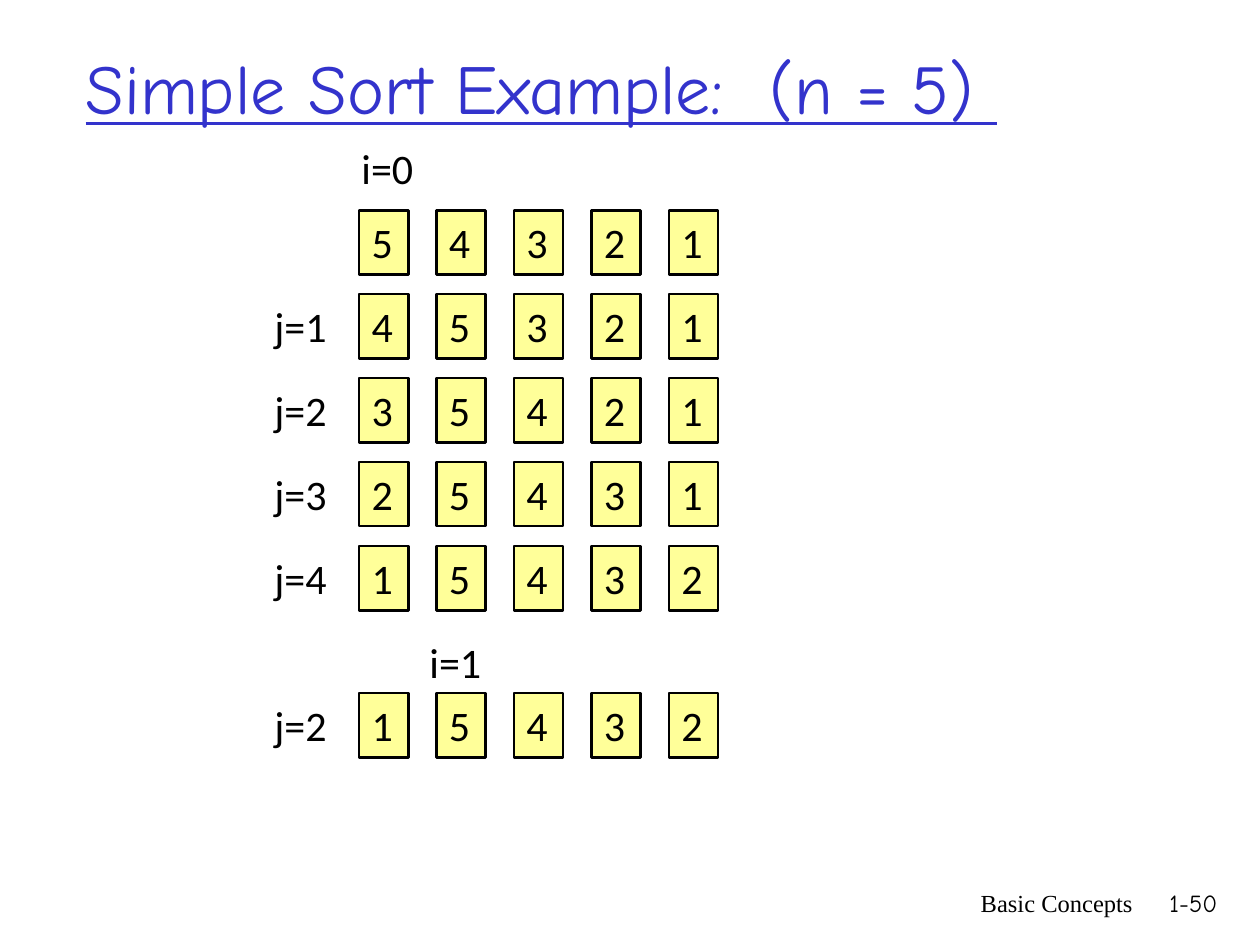
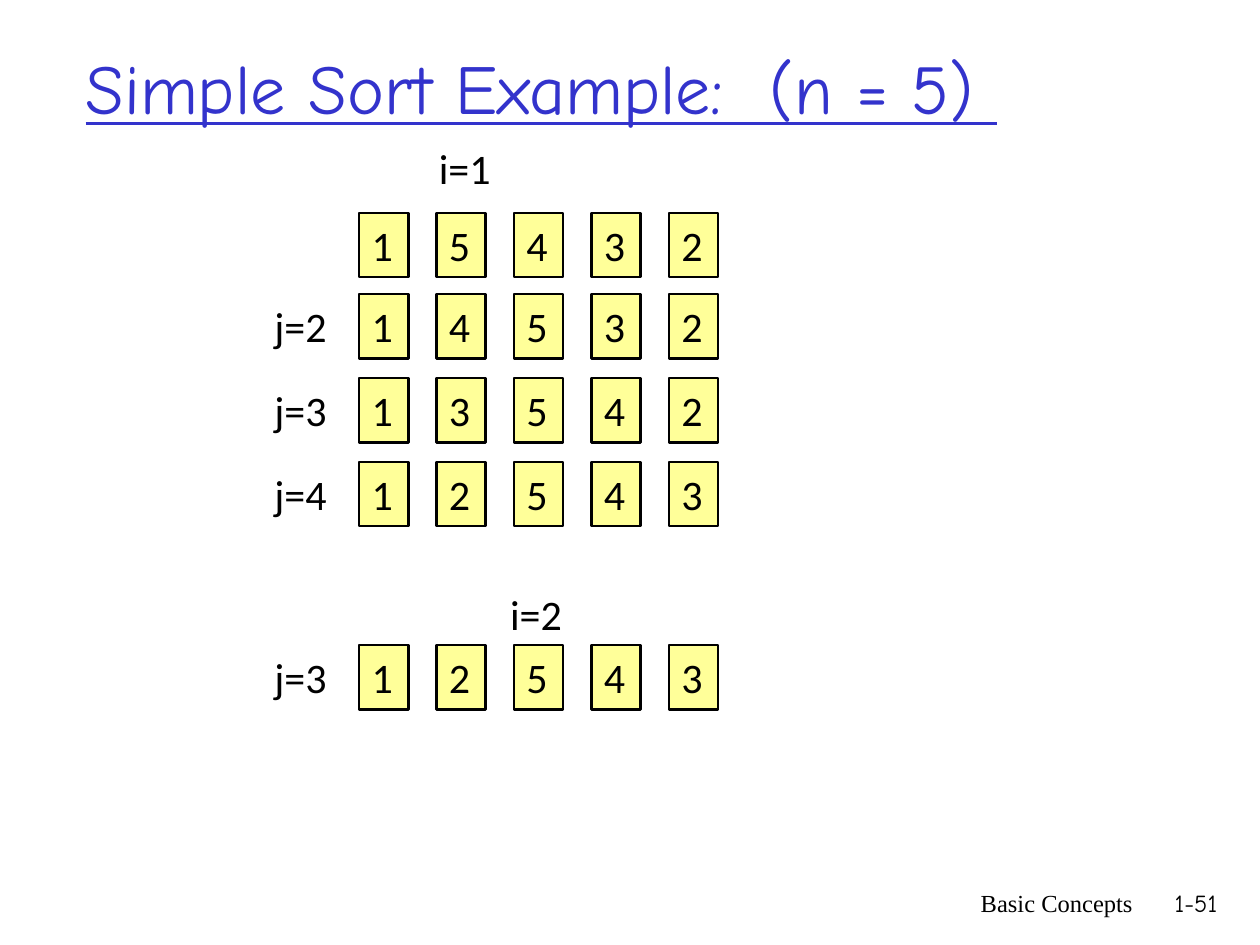
import pptx
import pptx.dml.color
import pptx.enum.shapes
import pptx.enum.text
import pptx.util

Inches = pptx.util.Inches
Pt = pptx.util.Pt
RGBColor = pptx.dml.color.RGBColor
Align = pptx.enum.text.PP_ALIGN
Anchor = pptx.enum.text.MSO_ANCHOR
AutoSize = pptx.enum.text.MSO_AUTO_SIZE

BLACK = RGBColor(0x00, 0x00, 0x00)
WHITE = RGBColor(0xFF, 0xFF, 0xFF)
TITLE_BLUE = RGBColor(0x33, 0x33, 0xCC)
CELL_YELLOW = RGBColor(0xFF, 0xFF, 0x99)

BODY_FONT = "Calibri"
TITLE_FONT = "Comic Neue"
FOOTER_FONT = "Times New Roman"

TITLE = "Simple Sort Example:  (n = 5) "
TITLE_BOX = (0.58, 0.25, 8.5, 0.88)
FOOTER_TOP, FOOTER_HEIGHT = 7, 0.5

CELL_LEFT = 2.85
CELL_WIDTH, CELL_HEIGHT = 0.39, 0.51
CELL_PITCH = 2.46 / 4
STEP_TOP = 7 / 3
ROW_PITCH = 2 / 3
J_LABEL_LEFT = 2.08
J_LABEL_WIDTH = 0.66
PASS_LABEL_TOP = 1.08
NEXT_LABEL_RISE = 0.5

SORT_PASSES = [
    {
        "page": "1-50",
        "pass": 0,
        "start_top": 1.67,
        "start": "54321",
        "steps": [("j=1", "45321"), ("j=2", "35421"), ("j=3", "25431"), ("j=4", "15432")],
        "next_top": 5.5,
        "next": ("j=2", "15432"),
    },
    {
        "page": "1-51",
        "pass": 1,
        "start_top": 1.69,
        "start": "15432",
        "steps": [("j=2", "14532"), ("j=3", "13542"), ("j=4", "12543")],
        "next_top": 5.12,
        "next": ("j=3", "12543"),
    },
]


def inches(box):
    return [Inches(length) for length in box]


def write(shape, text, font_name, size, color=BLACK, align=Align.LEFT, wrap=True, anchor=Anchor.TOP):
    text_frame = shape.text_frame
    text_frame.text = text
    text_frame.word_wrap = wrap
    text_frame.auto_size = AutoSize.NONE if wrap else AutoSize.SHAPE_TO_FIT_TEXT
    text_frame.vertical_anchor = anchor
    paragraph = text_frame.paragraphs[0]
    paragraph.alignment = align
    font = paragraph.runs[0].font
    font.name = font_name
    font.size = Pt(size)
    font.color.rgb = color
    return font


def add_label(shapes, text, left, top, width=J_LABEL_WIDTH, wrap=False):
    label = shapes.add_textbox(*inches((left, top, width, CELL_HEIGHT)))
    write(label, text, BODY_FONT, 24, wrap=wrap)


def add_array(slide, values, top, j_label=None):
    shapes = slide.shapes.add_group_shape().shapes
    for column, value in enumerate(values):
        box = (CELL_LEFT + column * CELL_PITCH, top, CELL_WIDTH, CELL_HEIGHT)
        cell = shapes.add_shape(pptx.enum.shapes.MSO_SHAPE.RECTANGLE, *inches(box))
        cell.shadow.inherit = False
        cell.fill.solid()
        cell.fill.fore_color.rgb = CELL_YELLOW
        cell.line.color.rgb = BLACK
        cell.line.width = Pt(1.5)
        write(cell, value, BODY_FONT, 24, wrap=False)
    if j_label:
        add_label(shapes, j_label, J_LABEL_LEFT, top)
    return shapes


def add_title(slide):
    title = slide.shapes.title
    title.left, title.top, title.width, title.height = inches(TITLE_BOX)
    font = write(title, TITLE, TITLE_FONT, 40, TITLE_BLUE, anchor=Anchor.MIDDLE)
    font.underline = True


def add_footer(slide, page):
    for text, left, width, font_name in (
        ("Basic Concepts", 5.92, 3.17, FOOTER_FONT),
        (page, 9.08, 0.68, TITLE_FONT),
    ):
        box = slide.shapes.add_textbox(*inches((left, FOOTER_TOP, width, FOOTER_HEIGHT)))
        write(box, text, font_name, 14, align=Align.RIGHT)


def add_sort_slide(presentation, sort_pass):
    slide = presentation.slides.add_slide(presentation.slide_layouts[5])
    slide.background.fill.solid()
    slide.background.fill.fore_color.rgb = WHITE
    add_title(slide)

    current = sort_pass["pass"]
    start = add_array(slide, sort_pass["start"], sort_pass["start_top"])
    add_label(start, f"i={current}", 2.77 + current * CELL_PITCH, PASS_LABEL_TOP)

    for row, (j_label, values) in enumerate(sort_pass["steps"]):
        add_array(slide, values, STEP_TOP + row * ROW_PITCH, j_label)

    following = current + 1
    j_label, values = sort_pass["next"]
    next_top = sort_pass["next_top"]
    next_array = add_array(slide, values, next_top, j_label)
    label_left = 2.67 + following * 0.64
    add_label(next_array, f"i={following}", label_left, next_top - NEXT_LABEL_RISE, 0.75, wrap=True)

    add_footer(slide, sort_pass["page"])


def main():
    presentation = pptx.Presentation()
    presentation.slide_width = Inches(10)
    presentation.slide_height = Inches(7.5)
    for sort_pass in SORT_PASSES:
        add_sort_slide(presentation, sort_pass)
    presentation.save("out.pptx")


if __name__ == "__main__":
    main()
